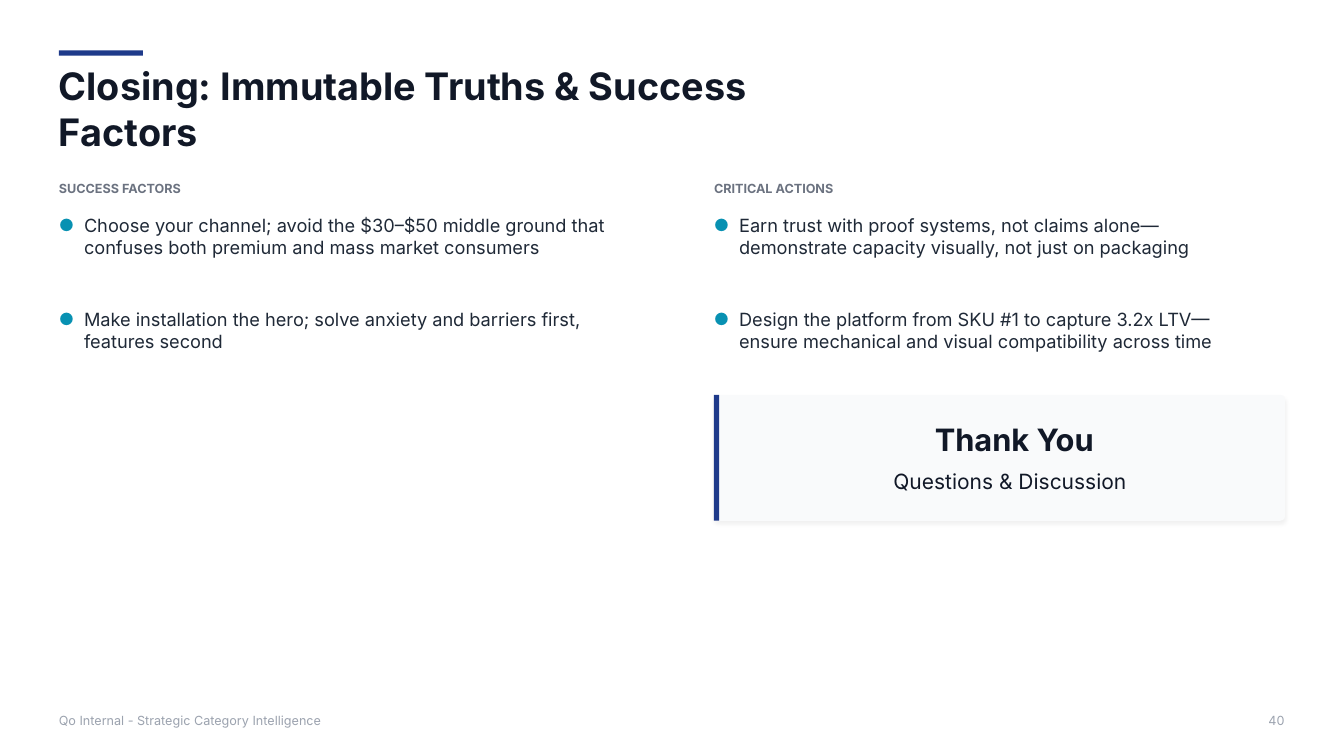
from dataclasses import dataclass

from lxml.etree import SubElement
from pptx import Presentation
from pptx.dml.color import RGBColor
from pptx.enum.shapes import MSO_SHAPE as Preset
from pptx.enum.text import MSO_ANCHOR as Anchor, MSO_AUTO_SIZE as AutoSize, PP_ALIGN as Align
from pptx.oxml.ns import qn
from pptx.shapes.autoshape import Shape
from pptx.slide import Slide
from pptx.text.text import TextFrame
from pptx.util import Pt

NAVY, INK, BODY = "1E3A8A", "111827", "1F2937"
TEAL, GREY, PALE_GREY, CARD = "0891B2", "6B7280", "9CA3AF", "F9FAFB"

MARGIN = 42
RIGHT_COLUMN = 510
BULLET_INDENT = 18
CARD_TOP, CARD_HEIGHT = 282, 90

FRAME_FORMAT = {
    "word_wrap": True,
    "auto_size": AutoSize.NONE,
    "vertical_anchor": Anchor.MIDDLE,
    "margin_left": 0,
    "margin_top": 0,
    "margin_right": 0,
    "margin_bottom": 0,
}


@dataclass(frozen=True)
class Box:
    left: float
    top: float
    width: float
    height: float

    def lengths(self) -> tuple[Pt, Pt, Pt, Pt]:
        return Pt(self.left), Pt(self.top), Pt(self.width), Pt(self.height)


@dataclass(frozen=True)
class Label:
    words: str
    box: Box
    size: float
    colour: str
    bold: bool = False
    align: Align = Align.LEFT


@dataclass(frozen=True)
class Column:
    heading: str
    left: float
    width: float
    points: tuple[str, ...]


TITLE = Label("Closing: Immutable Truths & Success Factors",
              Box(MARGIN, 61, 595, 33), 27, INK, True)

COLUMNS = (
    Column("SUCCESS FACTORS", MARGIN, 398, (
        "Choose your channel; avoid the $30–$50 middle ground that "
        "confuses both premium and mass market consumers",
        "Make installation the hero; solve anxiety and barriers first, features second",
    )),
    Column("CRITICAL ACTIONS", RIGHT_COLUMN, 371, (
        "Earn trust with proof systems, not claims alone—"
        "demonstrate capacity visually, not just on packaging",
        "Design the platform from SKU #1 to capture 3.2x LTV—"
        "ensure mechanical and visual compatibility across time",
    )),
)

LABELS = (
    Label("Thank You", Box(657.5, 300, 134, 27.5), 22, INK, True, Align.CENTER),
    Label("Questions & Discussion", Box(631.5, 335, 180, 18), 15, INK, align=Align.CENTER),
    Label("Qo Internal - Strategic Category Intelligence",
          Box(MARGIN, 508.5, 212, 12), 9, PALE_GREY),
    Label("40", Box(906, 508.5, 20, 12), 9, PALE_GREY),
)


def rgb(colour: str) -> RGBColor:
    return RGBColor.from_string(colour)


def write(frame: TextFrame, label: Label, lines: tuple[str, ...]) -> None:
    """Fill a frame with one paragraph per line in the label's style."""
    for attribute, value in FRAME_FORMAT.items():
        setattr(frame, attribute, value)
    font_format = {"name": "Inter", "size": Pt(label.size), "bold": label.bold}
    frame.text = "\n".join(lines)
    for paragraph in frame.paragraphs:
        paragraph.alignment = label.align
        font = paragraph.runs[0].font
        for attribute, value in font_format.items():
            setattr(font, attribute, value)
        font.color.rgb = rgb(label.colour)


def add_label(slide: Slide, label: Label) -> None:
    write(slide.shapes.add_textbox(*label.box.lengths()).text_frame, label, (label.words,))


def add_title(slide: Slide) -> None:
    title = slide.shapes.title
    title.left, title.top, title.width, title.height = TITLE.box.lengths()
    write(title.text_frame, TITLE, (TITLE.words,))


def add_block(slide: Slide, preset: Preset, box: Box, colour: str) -> Shape:
    block = slide.shapes.add_shape(preset, *box.lengths())
    block.shadow.inherit = False
    block.fill.solid()
    block.fill.fore_color.rgb = rgb(colour)
    block.line.fill.background()
    return block


def add_bullets(frame: TextFrame) -> None:
    """Give each paragraph a hanging teal dot."""
    for paragraph in frame.paragraphs:
        properties = paragraph._p.get_or_add_pPr()
        properties.set("marL", str(Pt(BULLET_INDENT)))
        properties.set("indent", str(-Pt(BULLET_INDENT)))
        SubElement(SubElement(properties, qn("a:buClr")), qn("a:srgbClr"), val=TEAL)
        SubElement(properties, qn("a:buSzPct"), val="92000")
        SubElement(properties, qn("a:buFont"), typeface="Inter")
        SubElement(properties, qn("a:buChar"), char="●")


def add_column(slide: Slide, column: Column) -> None:
    add_label(slide, Label(column.heading, Box(column.left, 129, 101, 11.5), 9, GREY, True))
    points = Label("", Box(column.left, 150, column.width, 105), 13, BODY)
    frame = slide.shapes.add_textbox(*points.box.lengths()).text_frame
    write(frame, points, column.points)
    for paragraph in frame.paragraphs[:-1]:
        paragraph.space_after = Pt(36)
    add_bullets(frame)


def add_soft_shadow(shape: Shape) -> None:
    effects = shape._element.spPr.find(qn("a:effectLst"))
    shadow = SubElement(effects, qn("a:outerShdw"), blurRad=str(Pt(3)), dist=str(Pt(2)),
                        dir="5400000", algn="ctr", rotWithShape="0")
    black = SubElement(shadow, qn("a:srgbClr"), val="000000")
    SubElement(black, qn("a:alpha"), val="5000")


def add_closing_card(slide: Slide) -> None:
    card = add_block(slide, Preset.ROUNDED_RECTANGLE,
                     Box(RIGHT_COLUMN, CARD_TOP, 408, CARD_HEIGHT), CARD)
    card.adjustments[0] = 0.04
    add_soft_shadow(card)
    add_block(slide, Preset.RECTANGLE, Box(RIGHT_COLUMN, CARD_TOP, 3.75, CARD_HEIGHT), NAVY)


def main() -> None:
    deck = Presentation()
    deck.slide_width, deck.slide_height = Pt(960), Pt(540)
    slide = deck.slides.add_slide(deck.slide_layouts[5])
    slide.background.fill.solid()
    slide.background.fill.fore_color.rgb = rgb("FFFFFF")

    add_block(slide, Preset.RECTANGLE, Box(MARGIN, 36, 60, 3.75), NAVY)
    add_title(slide)
    for column in COLUMNS:
        add_column(slide, column)
    add_closing_card(slide)
    for label in LABELS:
        add_label(slide, label)
    deck.save("out.pptx")


if __name__ == "__main__":
    main()
